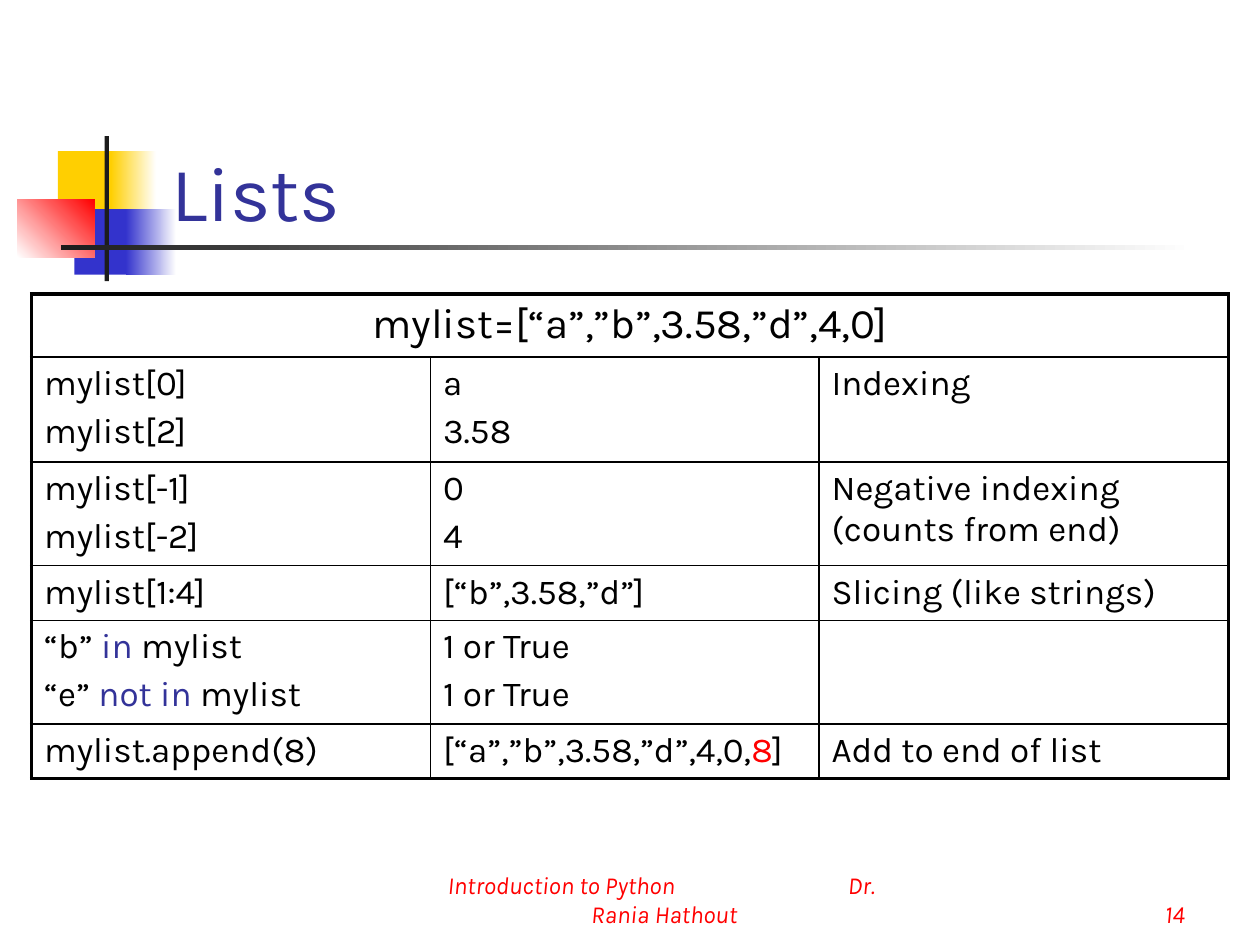
from dataclasses import dataclass

from lxml import etree
from pptx import Presentation
from pptx.dml.color import RGBColor
from pptx.enum.shapes import MSO_SHAPE
from pptx.enum.text import MSO_ANCHOR, PP_ALIGN
from pptx.oxml.ns import qn
from pptx.util import Pt

RECTANGLE = MSO_SHAPE.RECTANGLE
BOTTOM = MSO_ANCHOR.BOTTOM
LEFT, CENTER, RIGHT = PP_ALIGN.LEFT, PP_ALIGN.CENTER, PP_ALIGN.RIGHT


@dataclass(frozen=True)
class Theme:
    """Colours, font and type sizes of the slide."""

    font: str = "Karla"
    title: str = "333399"
    text: str = "000000"
    accent: str = "FF0000"
    white: str = "FFFFFF"
    yellow: str = "FFCF01"
    blue: str = "3333CC"
    dark: str = "1C1C1C"
    title_size: int = 44
    header_size: int = 24
    cell_size: int = 20
    footer_size: int = 14
    thick: float = 2.25
    thin: float = 1


THEME = Theme()

ORNAMENTS = [
    ((33.1, 86.4, 34.6, 37.4), (THEME.yellow,), 0),
    ((63.4, 86.4, 25.9, 37.4), (THEME.yellow, THEME.white), 0),
    ((42.5, 119.5, 33.1, 37.4), (THEME.blue,), 0),
    ((72, 119.5, 28.8, 37.4), (THEME.blue, THEME.white), 0),
    ((10, 113.8, 44, 33.1), (THEME.white, THEME.accent), 45),
    ((59.8, 77.8, 2.4, 82.8), (THEME.dark,), 0),
    ((34.6, 140.2, 648, 2.4), (THEME.dark, THEME.white), 0),
]

COLUMN_WIDTHS = [228, 222, 234]
ROW_HEIGHTS = [36, 60, 58, 30.5, 58, 30.5]
HEADER = "mylist=[“a”,”b”,3.58,”d”,4,0]"
ROWS = [
    (["mylist[0]", "mylist[2]"], ["a", "3.58"], ["Indexing"]),
    (["mylist[-1]", "mylist[-2]"], ["0", "4"], ["Negative indexing (counts from end)"]),
    (["mylist[1:4]"], ["[“b”,3.58,”d”]"], ["Slicing (like strings)"]),
    (
        [
            ["“b” ", ("in ", THEME.title), "mylist"],
            ["“e” ", ("not in", THEME.title), " mylist"],
        ],
        ["1 or True", "1 or True"],
        [],
    ),
    (
        ["mylist.append(8)"],
        [["[“a”,”b”,3.58,”d”,4,0,", ("8", THEME.accent), "]"]],
        ["Add to end of list"],
    ),
]


def apply_format(target, values):
    """Set every attribute named in a dict of format values."""
    for name, value in values.items():
        setattr(target, name, value)


def place(shape, box):
    """Move and size a shape, given in points."""
    apply_format(shape, dict(zip(("left", "top", "width", "height"), map(Pt, box))))


def add_run(paragraph, text, size, color, italic=False):
    """Add one formatted run to a paragraph."""
    run = paragraph.add_run()
    run.text = text
    apply_format(run.font, {"name": THEME.font, "size": Pt(size), "italic": italic})
    run.font.color.rgb = RGBColor.from_string(color)


def add_ornament(slide, box, colors, angle):
    """Add a rectangle with a plain or a two-colour gradient fill."""
    shape = slide.shapes.add_shape(RECTANGLE, *map(Pt, box))
    shape.shadow.inherit = False
    shape.line.fill.background()
    if len(colors) == 1:
        shape.fill.solid()
        shape.fill.fore_color.rgb = RGBColor.from_string(colors[0])
        return
    shape.fill.gradient()
    shape.fill.gradient_angle = angle
    for stop, color in zip(shape.fill.gradient_stops, colors):
        stop.color.rgb = RGBColor.from_string(color)


def add_title(slide, text, box):
    """Place and fill the title placeholder."""
    title = slide.shapes.title
    place(title, box)
    title.text_frame.vertical_anchor = BOTTOM
    paragraph = title.text_frame.paragraphs[0]
    paragraph.alignment = LEFT
    add_run(paragraph, text, THEME.title_size, THEME.title)


def add_footer(slide, box, lines):
    """Add a bottom-anchored text box of aligned lines and return its frame."""
    frame = slide.shapes.add_textbox(*map(Pt, box)).text_frame
    apply_format(frame, {"word_wrap": True, "vertical_anchor": BOTTOM})
    for index, (text, alignment) in enumerate(lines):
        paragraph = frame.add_paragraph() if index else frame.paragraphs[0]
        paragraph.alignment = alignment
        add_run(paragraph, text, THEME.footer_size, THEME.accent, italic=True)
    return frame


def set_tab_stop(paragraph, position):
    """Give a paragraph one left tab stop."""
    tabs = etree.SubElement(paragraph._p.get_or_add_pPr(), qn("a:tabLst"))
    etree.SubElement(tabs, qn("a:tab"), pos=str(Pt(position)), algn="l")


def set_borders(cell, widths):
    """Draw the left, right, top and bottom borders of a cell."""
    properties = cell._tc.get_or_add_tcPr()
    for index, (side, width) in enumerate(zip("LRTB", widths)):
        line = etree.Element(qn(f"a:ln{side}"), w=str(Pt(width)))
        fill = etree.SubElement(line, qn("a:solidFill"))
        etree.SubElement(fill, qn("a:srgbClr"), val=THEME.text)
        properties.insert(index, line)


def fill_cell(cell, paragraphs, size, alignment=LEFT):
    """Write paragraphs, each a string or a list of runs, into a cell."""
    for index, runs in enumerate(paragraphs):
        frame = cell.text_frame
        paragraph = frame.add_paragraph() if index else frame.paragraphs[0]
        apply_format(paragraph, {"alignment": alignment, "space_before": Pt(size * 0.2)})
        for run in [runs] if isinstance(runs, str) else runs:
            text, color = (run, THEME.text) if isinstance(run, str) else run
            add_run(paragraph, text, size, color)


def add_list_table(slide, left, top):
    """Add the table of list operations with a thick outer frame."""
    row_count, column_count = len(ROW_HEIGHTS), len(COLUMN_WIDTHS)
    size = (sum(COLUMN_WIDTHS), sum(ROW_HEIGHTS))
    table = slide.shapes.add_table(
        row_count, column_count, *map(Pt, (left, top, *size))
    ).table
    apply_format(table, {"first_row": False, "horz_banding": False})
    for column, width in zip(table.columns, COLUMN_WIDTHS):
        column.width = Pt(width)
    for row, height in zip(table.rows, ROW_HEIGHTS):
        row.height = Pt(height)
    for row in range(row_count):
        for column in range(column_count):
            cell = table.cell(row, column)
            cell.fill.background()
            outer = (
                column == 0,
                column == column_count - 1 or row == 0,
                row == 0,
                row == row_count - 1,
            )
            set_borders(cell, [THEME.thick if edge else THEME.thin for edge in outer])
            if row:
                fill_cell(cell, ROWS[row - 1][column], THEME.cell_size)
    table.cell(0, 0).merge(table.cell(0, column_count - 1))
    fill_cell(table.cell(0, 0), [HEADER], THEME.header_size, CENTER)


def main():
    """Build the slide and save it."""
    presentation = Presentation()
    apply_format(presentation, {"slide_width": Pt(720), "slide_height": Pt(540)})
    slide = presentation.slides.add_slide(presentation.slide_layouts[5])
    for ornament in ORNAMENTS:
        add_ornament(slide, *ornament)
    lines = [("Introduction to Python\tDr.", LEFT), ("Rania Hathout", CENTER)]
    footer = add_footer(slide, (246.2, 498.2, 264.2, 36), lines)
    footer.margin_left = Pt(9.7)
    set_tab_stop(footer.paragraphs[0], 228.6)
    add_footer(slide, (534.2, 498.2, 149.8, 36), [("14", RIGHT)])
    add_title(slide, "Lists", (90.7, 49, 613.4, 90))
    add_list_table(slide, 18, 168)
    presentation.save("out.pptx")


if __name__ == "__main__":
    main()
